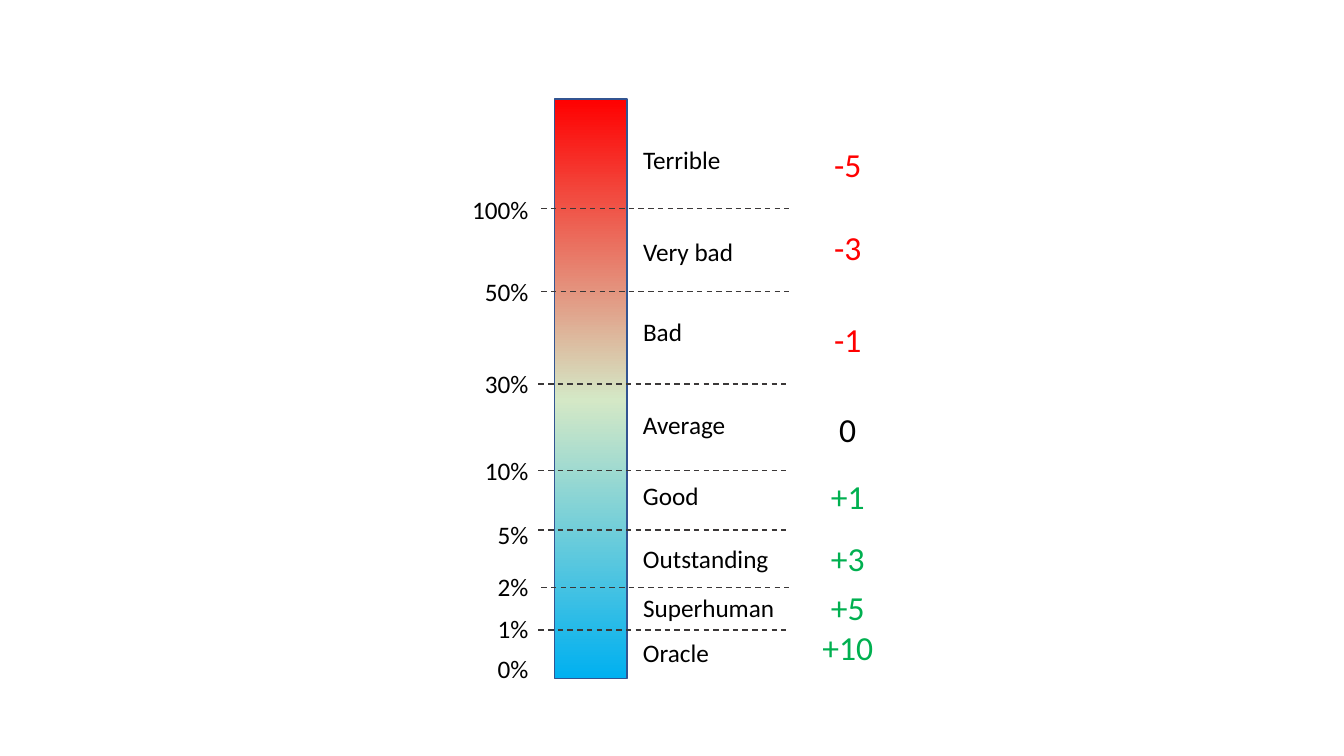
from copy import deepcopy

from pptx import Presentation
from pptx.dml.color import RGBColor
from pptx.enum import dml, shapes, text
from pptx.oxml.ns import qn
from pptx.util import Pt

RED = RGBColor(0xFF, 0x00, 0x00)
PALE_GREEN = RGBColor(0xD4, 0xE8, 0xC6)
BLUE = RGBColor(0x00, 0xB0, 0xF0)
GREEN = RGBColor(0x00, 0xB0, 0x50)
BLACK = RGBColor(0x00, 0x00, 0x00)
OUTLINE = RGBColor(0x32, 0x54, 0x91)
DASH_GREY = RGBColor(0x3B, 0x38, 0x38)

# Content: band, its top and width; score, its top, width and colour
BANDS = [
    ("Terrible", 99.4, 70.6, "-5", 99.4, 34.6, RED),
    ("Very bad", 165.6, 79.9, "-3", 158.4, 34.6, RED),
    ("Bad", 222.5, 42.5, "-1", 223.9, 34.6, RED),
    ("Average", 288.7, 74.2, "0", 288.7, 26.6, BLACK),
    ("Good", 339.8, 54.7, "+1", 336.2, 38.9, GREEN),
    ("Outstanding", 384.5, 105.1, "+3", 380.9, 38.9, GREEN),
    ("Superhuman", 419.8, 109.4, "+5", 415.4, 38.9, GREEN),
    ("Oracle", 451.4, 61.9, "+10", 444.2, 51.1, GREEN),
]
# Threshold, label top, line start and line height (the last has no line)
THRESHOLDS = [
    ("100%", 135.4, 386.6, 149),
    ("50%", 193.7, 386.6, 208.1),
    ("30%", 259.2, 384.5, 274.3),
    ("10%", 321.8, 384.5, 336.2),
    ("5%", 367.2, 384.5, 378.7),
    ("2%", 404.6, 386.6, 419.8),
    ("1%", 434.2, 384.5, 450),
    ("0%", 463, None, None),
]
GRADIENT = [(0, RED), (0.52, PALE_GREEN), (1, BLUE)]

BAR = (396, 70.6, 51.8, 414)
THRESHOLD_RIGHT = 384.5
BAND_LEFT = 452.2
SCORE_CENTRE = 605.5
LINE_LENGTH = 177.2

deck = Presentation()
deck.slide_width, deck.slide_height = Pt(960), Pt(540)
slide = deck.slides.add_slide(deck.slide_layouts[6])


def add_label(words, left, top, width, size, color, align):
    label = slide.shapes.add_textbox(Pt(left), Pt(top), Pt(width), Pt(size * 1.2 + 7.2))
    label.text_frame.word_wrap = False
    paragraph = label.text_frame.paragraphs[0]
    paragraph.text = words
    paragraph.alignment = align
    paragraph.font.name = "Calibri"
    paragraph.font.size = Pt(size)
    paragraph.font.color.rgb = color


# Colour bar
bar = slide.shapes.add_shape(shapes.MSO_SHAPE.RECTANGLE, *map(Pt, BAR))
bar.shadow.inherit = False
bar.line.color.rgb = OUTLINE
bar.line.width = Pt(1)
bar.fill.gradient()
bar.fill.gradient_angle = 270
stop_list = bar._element.spPr.find(".//" + qn("a:gsLst"))
stop_list.append(deepcopy(stop_list[0]))
for stop, (position, color) in zip(bar.fill.gradient_stops, GRADIENT):
    stop.position = position
    stop.color.rgb = color

# Thresholds and their dashed lines
for threshold, top, start, height in THRESHOLDS:
    width = 18.1 + 9.3 * len(threshold)
    add_label(threshold, THRESHOLD_RIGHT - width, top, width, 18, BLACK,
              text.PP_ALIGN.RIGHT)
    if start is not None:
        divider = slide.shapes.add_connector(
            shapes.MSO_CONNECTOR.STRAIGHT,
            Pt(start), Pt(height), Pt(start + LINE_LENGTH), Pt(height))
        divider.line.color.rgb = DASH_GREY
        divider.line.width = Pt(1)
        divider.line.dash_style = dml.MSO_LINE.DASH
        properties = divider._element.spPr
        properties.append(properties.makeelement(qn("a:effectLst"), {}))

# Bands and scores
for band, top, width, score, score_top, score_width, color in BANDS:
    add_label(band, BAND_LEFT, top, width, 18, BLACK, text.PP_ALIGN.LEFT)
    add_label(score, SCORE_CENTRE - score_width / 2, score_top, score_width, 24,
              color, text.PP_ALIGN.CENTER)

deck.save("out.pptx")
